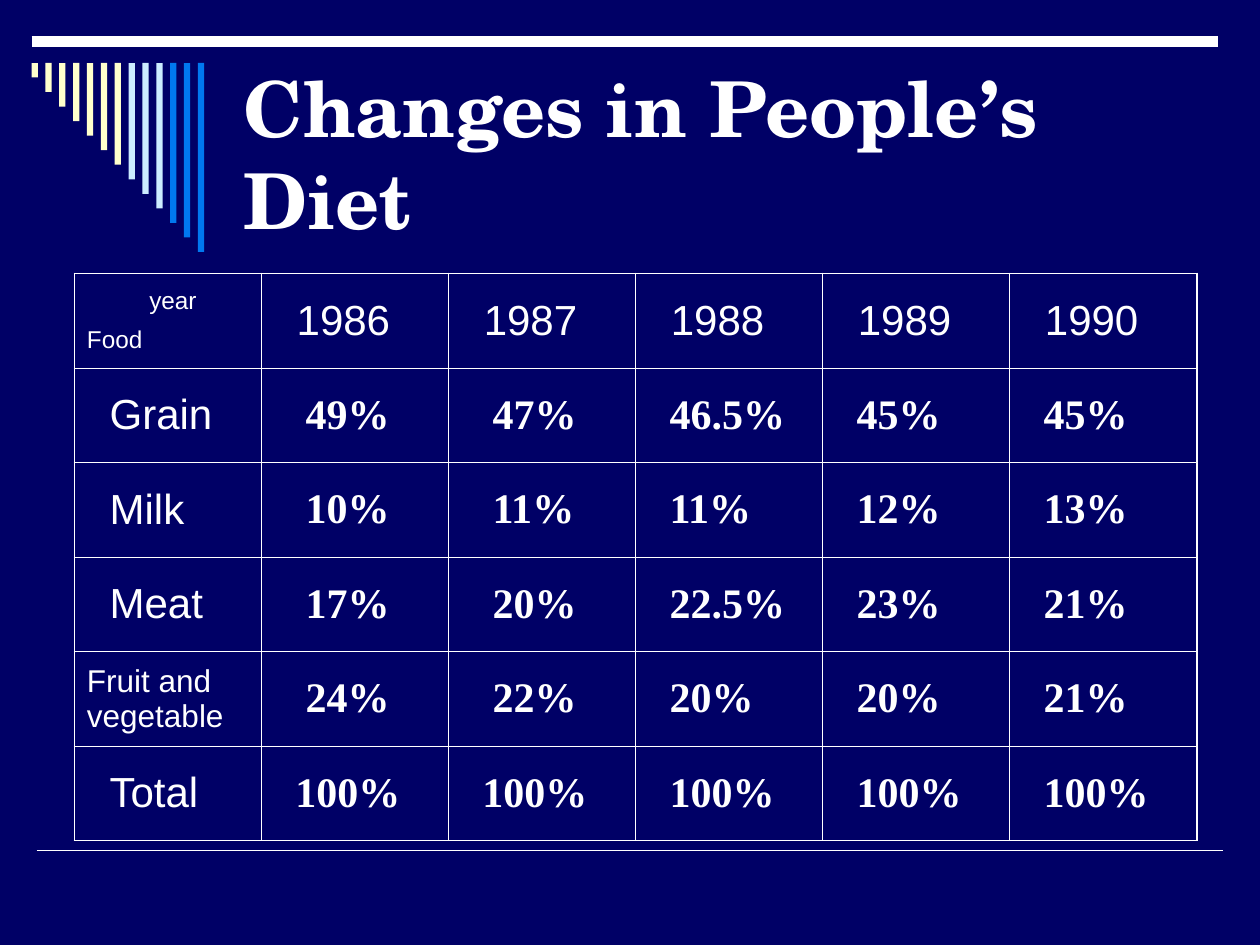
from lxml import etree
from pptx import Presentation
from pptx.dml.color import RGBColor
from pptx.enum.shapes import MSO_CONNECTOR, MSO_SHAPE
from pptx.enum.text import MSO_ANCHOR, MSO_AUTO_SIZE, PP_ALIGN
from pptx.oxml.ns import qn
from pptx.util import Inches, Pt

STRAIGHT, RECTANGLE = MSO_CONNECTOR.STRAIGHT, MSO_SHAPE.RECTANGLE
MIDDLE, LEFT, NO_FIT = MSO_ANCHOR.MIDDLE, PP_ALIGN.LEFT, MSO_AUTO_SIZE.NONE

NAVY = RGBColor(0x00, 0x00, 0x66)
WHITE = RGBColor(0xFF, 0xFF, 0xFF)
CREAM = RGBColor(0xFF, 0xFF, 0xCC)
PALE_BLUE = RGBColor(0xCC, 0xEC, 0xFF)
BRIGHT_BLUE = RGBColor(0x00, 0x78, 0xF0)

WIDTH, HEIGHT = Inches(10), Inches(7.5)
BAR_COLORS = [CREAM] * 7 + [PALE_BLUE] * 3 + [BRIGHT_BLUE] * 3
BAR_LEFT, BAR_TOP, BAR_PITCH, BAR_WIDTH = 0.25, 0.5, 0.11, 0.05
TALLEST_BAR = 1.5

YEARS = ["1986", "1987", "1988", "1989", "1990"]
DIET = {
    "Grain": ["49%", "47%", "46.5%", "45%", "45%"],
    "Milk": ["10%", "11%", "11%", "12%", "13%"],
    "Meat": ["17%", "20%", "22.5%", "23%", "21%"],
    "Fruit and vegetable": ["24%", "22%", "20%", "20%", "21%"],
    "Total": ["100%"] * 5,
}
LABEL_INDENT, SHARE_INDENT, WIDE_INDENT = 0.18, 0.17, 0.25
CELL_INSET = 0.1
OUTER_BORDER, INNER_BORDER = 1.08, 0.45


def add_run(paragraph, text, size, font, bold=False, baseline=0):
    """Append one white run, optionally raised or lowered by a percentage."""
    run = paragraph.add_run()
    run.text = text
    run.font.size, run.font.name, run.font.bold = Pt(size), font, bold
    run.font.color.rgb = WHITE
    if baseline:
        run.font._element.set("baseline", str(baseline * 1000))


def add_rule(slide, left, y, weight):
    """Draw a horizontal white rule across most of the slide."""
    top = round(HEIGHT * y)
    start = round(WIDTH * left)
    rule = slide.shapes.add_connector(STRAIGHT, start, top, start + round(WIDTH * 0.942), top)
    rule.line.color.rgb = WHITE
    rule.line.width = Pt(weight)
    etree.SubElement(rule._element.spPr, qn("a:effectLst"))


def add_bars(slide):
    """Draw the group of hanging bars that grow towards the title."""
    bars = slide.shapes.add_group_shape()
    step = TALLEST_BAR / len(BAR_COLORS)
    for index, color in enumerate(BAR_COLORS):
        bar = bars.shapes.add_shape(
            RECTANGLE, Inches(BAR_LEFT + index * BAR_PITCH), Inches(BAR_TOP),
            Inches(BAR_WIDTH), Inches(step * (index + 1)))
        bar.shadow.inherit = False
        bar.fill.solid()
        bar.fill.fore_color.rgb = color
        bar.line.fill.background()


def set_title(slide, text):
    """Place and format the slide title."""
    title = slide.shapes.title
    title.left, title.top = Inches(1.83), Inches(0.5)
    title.width, title.height = Inches(7.67), Inches(1.42)
    frame = title.text_frame
    frame.auto_size, frame.vertical_anchor, frame.word_wrap = NO_FIT, MIDDLE, True
    frame.paragraphs[0].alignment = LEFT
    add_run(frame.paragraphs[0], text, 44, "TeX Gyre Schola", bold=True)


def set_borders(cell, outer_sides):
    """Give a cell white borders, heavier on the table's outer sides."""
    properties = cell._tc.get_or_add_tcPr()
    for side in "LRTB":
        weight = OUTER_BORDER if side in outer_sides else INNER_BORDER
        border = etree.SubElement(properties, qn(f"a:ln{side}"), w=str(int(Pt(weight))))
        fill = etree.SubElement(border, qn("a:solidFill"))
        etree.SubElement(fill, qn("a:srgbClr"), val=str(WHITE))


def fill_cell(cell, text, indent, size=24, font="Arial", bold=False):
    """Write one run into a cell, indented from its left edge."""
    cell.margin_left = Inches(CELL_INSET + indent)
    paragraph = cell.text_frame.paragraphs[0]
    paragraph.space_before = Pt(size / 4)
    add_run(paragraph, text, size, font, bold)


def add_diet_table(slide):
    """Build the table of food shares by year."""
    rows, columns = len(DIET) + 1, len(YEARS) + 1
    table = slide.shapes.add_table(
        rows, columns, Inches(0.59), Inches(2.17), Inches(8.91), Inches(4.5)).table
    table.first_row = table.horz_banding = False
    for row in range(rows):
        for column in range(columns):
            cell = table.cell(row, column)
            edges = {"L": column == 0, "R": column == columns - 1,
                     "T": row == 0, "B": row == rows - 1}
            set_borders(cell, [side for side, outer in edges.items() if outer])
            cell.fill.background()
            cell.vertical_anchor = MIDDLE

    corner = table.cell(0, 0).text_frame.paragraphs[0]
    corner.space_before = Pt(6)
    add_run(corner, "Food ", 24, "Arial", baseline=-36)
    add_run(corner, "year", 24, "Arial", baseline=56)
    for column, year in enumerate(YEARS, 1):
        fill_cell(table.cell(0, column), year, LABEL_INDENT)
    for row, (food, shares) in enumerate(DIET.items(), 1):
        long_name = " " in food
        fill_cell(table.cell(row, 0), food, 0 if long_name else LABEL_INDENT,
                  18 if long_name else 24)
        for column, share in enumerate(shares, 1):
            wide = column <= 2 and food != "Total"
            fill_cell(table.cell(row, column), share,
                      WIDE_INDENT if wide else SHARE_INDENT,
                      font="Times New Roman", bold=True)


def main():
    """Build and save the slide."""
    deck = Presentation()
    deck.slide_width, deck.slide_height = WIDTH, HEIGHT
    slide = deck.slides.add_slide(deck.slide_layouts.get_by_name("Title Only"))
    slide.background.fill.solid()
    slide.background.fill.fore_color.rgb = NAVY
    add_rule(slide, 0.029, 0.9, 1)
    add_rule(slide, 0.025, 0.044, 6)
    add_bars(slide)
    set_title(slide, "Changes in People’s Diet")
    add_diet_table(slide)
    deck.save("out.pptx")


main()
